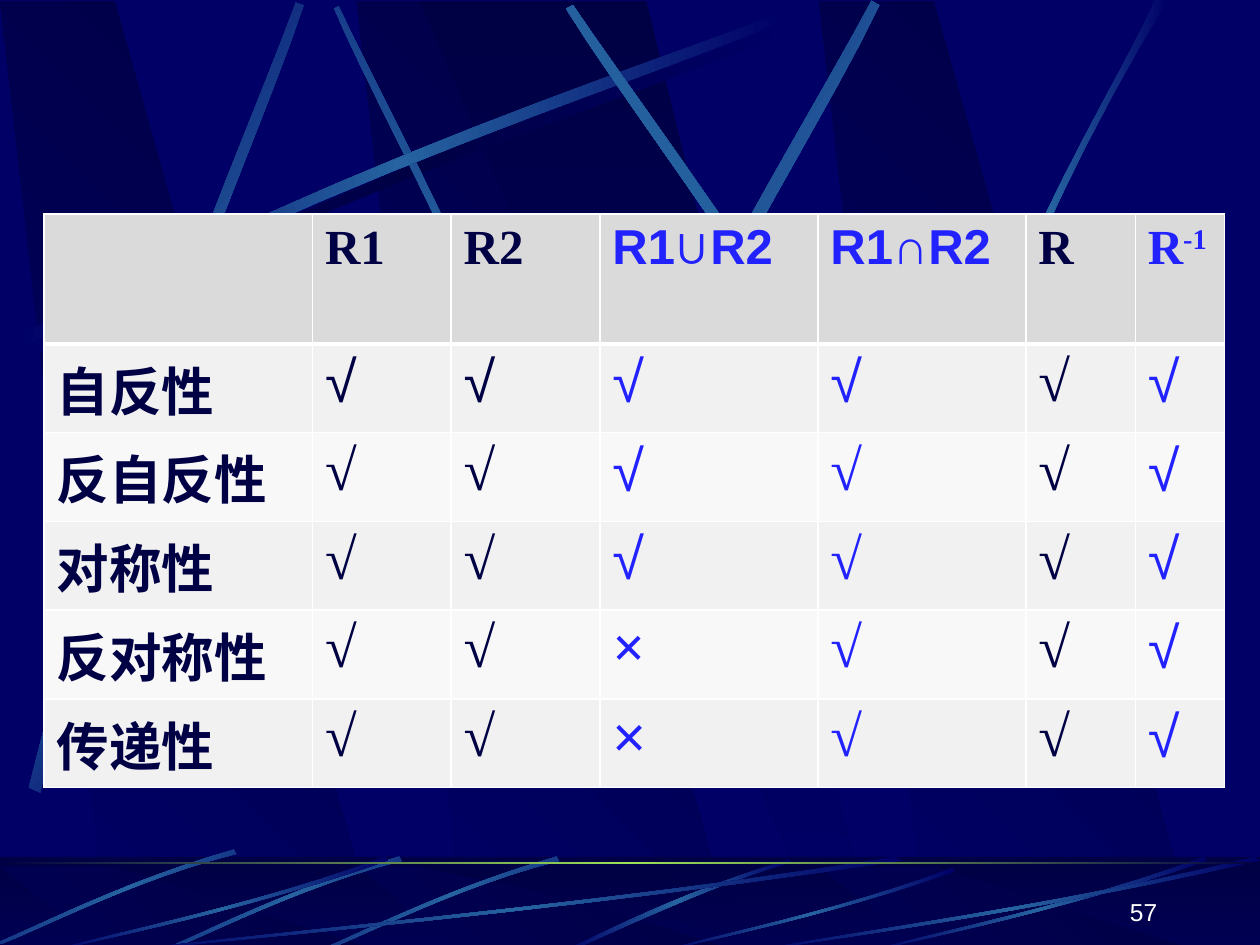
from dataclasses import dataclass

from pptx import Presentation
from pptx.dml.color import RGBColor
from pptx.enum.shapes import MSO_SHAPE
from pptx.enum.text import MSO_ANCHOR, PP_ALIGN
from pptx.oxml import parse_xml
from pptx.oxml.ns import nsdecls, qn
from pptx.util import Pt

RECT = MSO_SHAPE.RECTANGLE
RIGHT = PP_ALIGN.RIGHT
JUSTIFY = PP_ALIGN.JUSTIFY
BOTTOM = MSO_ANCHOR.BOTTOM


@dataclass(frozen=True)
class Theme:
    navy: str = "000066"
    dark: str = "000044"
    beam: str = "2663A0"
    lime: str = "9CE157"
    blue: str = "2222FF"
    white: str = "FFFFFF"
    head: str = "DADADA"
    bands: tuple = ("F1F1F1", "F8F8F8")
    sans: str = "Arial"
    serif: str = "Times New Roman"
    head_size: int = 28
    label_size: int = 30
    mark_size: int = 33
    num_size: int = 14


T = Theme()
GLOW = (T.navy, T.beam, T.navy)

# Each streak: four Bézier points out, then four back
LONG = ((10, 192), (200, 90), (373, 36.5), (446.5, 7),
        (448.5, 11.5), (376, 44), (178.5, 103), (12, 199.5))
BEAMS = (
    (48.3, ((16.5, 450), (67, 240.5), (142, 75.5), (169, 1.5),
            (173.5, 3), (149, 78.5), (62, 265), (23, 453))),
    (38.4, ((277, 442), (358.5, 230.5), (459.5, 73.5), (498, 0.5),
            (502.5, 3), (467.5, 78), (350, 255.5), (283.5, 447))),
    (325.3, ((580.5, 403), (482.5, 211), (371.5, 68.5), (327.5, 3),
             (323.5, 5), (365, 72.5), (493, 234), (575.5, 408))),
    (0, ((531.5, 283.5), (586, 124.5), (639.5, 47.5), (660, 0),
         (667.5, 0), (602, 104.5), (553.5, 232), (535.5, 286))),
)
CROSS = ((331, 314), (281.5, 168.5), (217.5, 55.5), (193.5, 3.5),
         (191, 5), (212.5, 57), (286.5, 186), (327, 316))
SWEEP = ((451.5, 491), (386.5, 510.5), (343.5, 534), (322.5, 543),
         (326, 543.5), (353, 531.5), (411, 504), (452, 493))
ARC = ((228, 489.5), (165.5, 507.5), (116.5, 533), (94.5, 542),
       (95, 543.5), (117.5, 535), (173, 506), (229.5, 492))
# Ray in a unit box, stretched to each place
RAY = ((1, 0.04), (0.57, 0.57), (0.17, 0.85), (0, 1),
       (0, 0.99), (0.17, 0.81), (0.61, 0.51), (0.99, 0))
RAYS = ((72, 489.6, 444, 54), (30, 489.6, 192, 54), (379.5, 496, 166.5, 47.5),
        (498, 489.6, 192, 54), (432, 489.6, 288, 54))

COLS = (153.4, 79.2, 85, 124.6, 118.8, 62.6, 51.1)
ROWS = (74.2,) + (46.8,) * 5
BLUE_COLS = (3, 4, 6)
HEADS = ("", "R1", "R2", "R1∪R2", "R1∩R2", "R", "R")
# Label, marks, and the font of each mark (a = sans, s = serif)
BODY = (
    ("自反性", "√√√√√√", "aaaasa"),
    ("反自反性", "√√√√√√", "ssassa"),
    ("对称性", "√√√√√√", "ssassa"),
    ("反对称性", "√√×√√√", "sssssa"),
    ("传递性", "√√×√√√", "ssassa"),
)


def rgb(code):
    return RGBColor.from_string(code)


def shade(shape, stops, angle):
    """Fill with evenly spaced gradient stops; angle runs clockwise."""
    shape.shadow.inherit = False
    shape.line.fill.background()
    shape.fill.background()
    step = 100000 // (len(stops) - 1)
    marks = "".join(f'<a:gs pos="{i * step}"><a:srgbClr val="{c}"/></a:gs>'
                    for i, c in enumerate(stops))
    grad = parse_xml(f'<a:gradFill {nsdecls("a")} rotWithShape="1"><a:gsLst>{marks}'
                     f'</a:gsLst><a:lin ang="{round(angle * 60000)}" scaled="0"/></a:gradFill>')
    props = shape._element.spPr
    props.replace(props.find(qn("a:noFill")), grad)


def outline(slide, pts, stops, angle):
    pts = [(Pt(x), Pt(y)) for x, y in pts]
    form = slide.shapes.build_freeform(*pts[0], scale=1.0)
    form.add_line_segments(pts[1:], close=True)
    shade(form.convert_to_shape(), stops, angle)


def curve(a, b, c, d, steps=12):
    """Points along a cubic Bézier."""
    for i in range(steps + 1):
        t = i / steps
        u = 1 - t
        yield tuple(u**3 * p + 3 * u * u * t * q + 3 * u * t * t * r + t**3 * s
                    for p, q, r, s in zip(a, b, c, d))


def streak(slide, pts, angle=0, box=(0, 0, 1, 1), stops=GLOW):
    x, y, w, h = box
    pts = [(x + w * px, y + h * py) for px, py in pts]
    outline(slide, [*curve(*pts[:4]), *curve(*pts[4:])], stops, angle)


def slabs(slide, top, base):
    for x in (203.8, 0, 468):
        pts = ((x + 62, base), (x + 217.4, base), (x + 65.5, top), (x, top))
        outline(slide, pts, (T.navy, T.dark), 315)
    wedge = ((239.8, top), (473.8, base), (499.7, base), (369.4, top))
    outline(slide, wedge, (T.dark, T.navy), 90)


def bar(slide, y, h, stops, angle):
    shape = slide.shapes.add_shape(RECT, 0, Pt(y), Pt(720), Pt(h))
    shade(shape, stops, angle)
    return shape


def veil(slide):
    """Half-clear dark layer over the bottom strip."""
    shape = bar(slide, 489.6, 54, (T.dark, T.dark), 0)
    shape.fill.solid()
    shape.fill.fore_color.rgb = rgb(T.dark)
    tint = shape._element.spPr.find(qn("a:solidFill"))[0]
    tint.append(parse_xml(f'<a:alpha {nsdecls("a")} val="50000"/>'))


def scene(slide):
    slabs(slide, 0.7, 541)
    streak(slide, LONG, box=(4.3, 5.8, 1, 1), stops=(T.navy, T.dark, T.navy))
    streak(slide, CROSS, 315)
    streak(slide, LONG)
    for angle, pts in BEAMS:
        streak(slide, pts, angle)
    bar(slide, 489.6, 54, (T.dark, T.navy), 90)
    slabs(slide, 495.4, 543.6)
    veil(slide)
    streak(slide, SWEEP)
    for x, y in ((90, 0), (0, 0), (-94.5, -4)):
        streak(slide, ARC, 45, (x, y, 1, 1))
    for box in RAYS:
        streak(slide, RAY, box=box)
    bar(slide, 492.5, 1.5, (T.dark, T.lime, T.dark), 0)


def style(font, size, face, color, bold):
    font.size, font.name, font.bold = Pt(size), face, bold
    font.color.rgb = rgb(color)


def border(cell, base):
    props = cell._tc.get_or_add_tcPr()
    for i, (side, width) in enumerate((("L", 1), ("R", 1), ("T", 1), ("B", base))):
        props.insert(i, parse_xml(
            f'<a:ln{side} {nsdecls("a")} w="{Pt(width)}"><a:solidFill>'
            f'<a:srgbClr val="{T.white}"/></a:solidFill></a:ln{side}>'))


def put(cell, text, fill, size, face, color, bold, base=1):
    cell.fill.solid()
    cell.fill.fore_color.rgb = rgb(fill)
    border(cell, base)
    cell.text_frame.text = text
    for run in cell.text_frame.paragraphs[0].runs:
        style(run.font, size, face, color, bold)


def grid(slide):
    table = slide.shapes.add_table(len(ROWS), len(COLS), Pt(25.2), Pt(122.4),
                                   Pt(sum(COLS)), Pt(sum(ROWS))).table
    for col, width in zip(table.columns, COLS):
        col.width = Pt(width)
    for row, height in zip(table.rows, ROWS):
        row.height = Pt(height)
    inks = [T.blue if c in BLUE_COLS else T.dark for c in range(len(COLS))]
    for c, text in enumerate(HEADS):
        face = T.sans if c in (3, 4) else T.serif
        put(table.cell(0, c), text, T.head, T.head_size, face, inks[c], True, 3)
    para = table.cell(0, 6).text_frame.paragraphs[0]
    para.alignment = JUSTIFY
    power = para.add_run()
    power.text = "-1"
    style(power.font, T.head_size, T.serif, T.blue, True)
    power._r.get_or_add_rPr().set("baseline", "30000")
    for r, (label, marks, faces) in enumerate(BODY, 1):
        fill = T.bands[(r - 1) % 2]
        put(table.cell(r, 0), label, fill, T.label_size, T.serif, T.dark, True)
        for c, (mark, kind) in enumerate(zip(marks, faces), 1):
            face = T.sans if kind == "a" else T.serif
            put(table.cell(r, c), mark, fill, T.mark_size, face, inks[c], kind == "s")


def number(slide, text):
    frame = slide.shapes.add_textbox(Pt(518.4), Pt(496.8), Pt(150), Pt(36)).text_frame
    frame.word_wrap = True
    frame.vertical_anchor = BOTTOM
    frame.text = text
    para = frame.paragraphs[0]
    para.alignment = RIGHT
    style(para.runs[0].font, T.num_size, T.sans, T.white, False)


def main():
    deck = Presentation()
    deck.slide_width, deck.slide_height = Pt(720), Pt(540)
    slide = deck.slides.add_slide(deck.slide_layouts[6])
    slide.background.fill.solid()
    slide.background.fill.fore_color.rgb = rgb(T.navy)
    scene(slide)
    grid(slide)
    number(slide, "57")
    deck.save("out.pptx")


if __name__ == "__main__":
    main()
